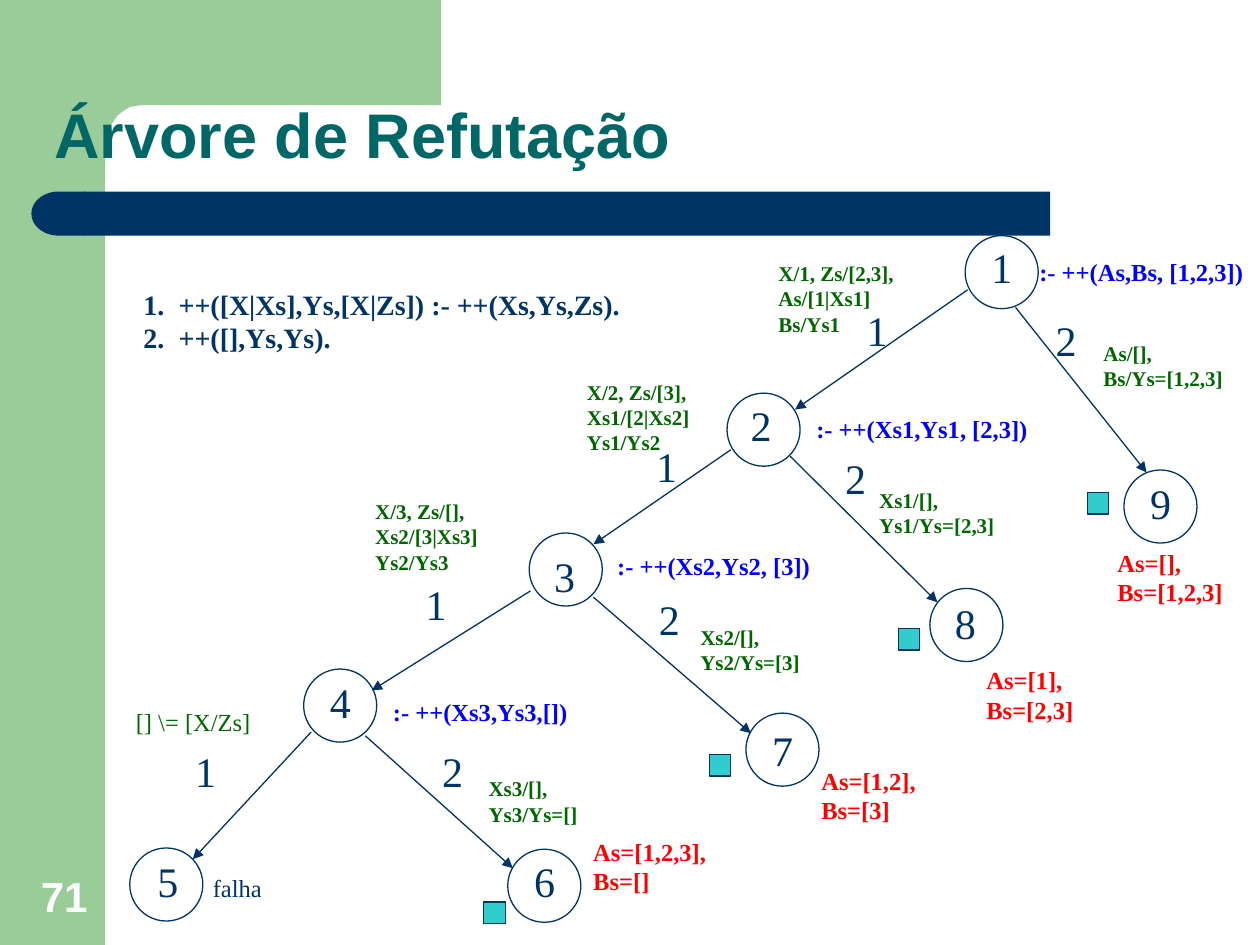
from pptx import Presentation
from pptx.dml.color import RGBColor
from pptx.enum.shapes import MSO_CONNECTOR as CONN, MSO_SHAPE as SHAPE
from pptx.enum.text import MSO_ANCHOR as ANCHOR, MSO_AUTO_SIZE as AUTO, PP_ALIGN as ALIGN
from pptx.oxml.ns import qn
from pptx.util import Inches, Pt
from lxml.etree import SubElement

NAVY, SAGE, AQUA, WHITE = "003366", "99CC99", "33CCCC", "FFFFFF"
BLUE, GREEN, RED, TEAL = "0000FF", "006600", "FF0000", "006666"
SERIF, SANS = "Times New Roman", "Arial"
U = Inches(0.1)  # one cell of the 100 x 75 grid
NODE = 5.8       # node diameter in cells
SLACK = 0.3      # spare width that keeps each label line whole
rgb = RGBColor.from_string

prs = Presentation()
prs.slide_width, prs.slide_height = 100 * U, 75 * U
s = prs.slides.add_slide(prs.slide_layouts[5])


def paint(sp, fill=None, line=None):
    sp.shadow.inherit = False
    if fill:
        sp.fill.solid()
        sp.fill.fore_color.rgb = rgb(fill)
    else:
        sp.fill.background()
    if line:
        sp.line.color.rgb = rgb(line)
        sp.line.width = Pt(0.75)
    else:
        sp.line.fill.background()


def write(text, x, y, w, h=None, sp=None, size=14, color=NAVY, bold=False, font=SERIF,
          anchor=ANCHOR.TOP, align=ALIGN.LEFT, spacing=1.0, tab=None):
    lines = text.split("\n")
    h = h or 1 + len(lines) * size / 6  # insets plus 1.2 lines of text
    sp = sp or s.shapes.add_textbox(0, 0, U, U)
    sp.left, sp.top, sp.width, sp.height = (int(v * U) for v in (x, y, w + SLACK, h))
    tf = sp.text_frame
    tf.word_wrap, tf.auto_size, tf.vertical_anchor = True, AUTO.NONE, anchor
    for i, line in enumerate(lines):
        p = tf.add_paragraph() if i else tf.paragraphs[0]
        p.alignment, p.line_spacing = align, spacing
        if tab:
            tabs = SubElement(p._p.get_or_add_pPr(), qn("a:tabLst"))
            SubElement(tabs, qn("a:tab"), pos=str(int(tab * U)), algn="l")
        r = p.add_run()
        r.text = line
        r.font.name, r.font.size, r.font.bold = font, Pt(size), bold
        r.font.color.rgb = rgb(color)


# Side band, corner piece with its rounded inner edge, and title bar
corner = [(35, 0), (35, 8.35), (11.6, 8.35), (11.1, 8.35), (10.3, 8.5), (9.8, 8.8), (9.3, 9.2),
          (8.9, 9.8), (8.6, 10.4), (8.4, 11), (8.33, 11.6), (8.33, 12.8), (5, 12.8), (5, 0)]
corner = [(int(x * U), int(y * U)) for x, y in corner]
band = s.shapes.add_shape(SHAPE.RECTANGLE, 0, 0, int(8.33 * U), 75 * U)
paint(band, SAGE)
outline = s.shapes.build_freeform(*corner[0])
outline.add_line_segments(corner[1:], close=True)
paint(outline.convert_to_shape(), SAGE)
for kind, x, w in [(SHAPE.RECTANGLE, 6.7, 76.65), (SHAPE.FLOWCHART_DELAY, 2.5, 4.3)]:
    bar = s.shapes.add_shape(kind, *(int(v * U) for v in (x, 15.2, w, 3.5)))
    paint(bar, NAVY)
    if kind == SHAPE.FLOWCHART_DELAY:
        bar._element.spPr.find(qn("a:xfrm")).set("flipH", "1")

# Slide number and program clauses
write("71", 0.8, 68.3, 8.3, 5.3, size=24, color=WHITE, bold=True, font=SANS,
      anchor=ANCHOR.BOTTOM, align=ALIGN.CENTER, spacing=0.9)
write("1.\t++([X|Xs],Ys,[X|Zs]) :- ++(Xs,Ys,Zs).\n2.\t++([],Ys,Ys).",
      10.4, 22.3, 40.3, size=16, bold=True, tab=2.8)

# Tree nodes: circle corner, then corner of the number's box
nodes = [(76.6, 18.7, 77.7, 18.7), (57.7, 31.2, 58.6, 31.2), (42, 42.3, 43, 43.2),
         (24.1, 53.1, 25.2, 53.2), (10.3, 67.3, 11.5, 67.4), (40.3, 67.4, 41.4, 67.4),
         (59.2, 56.6, 60.3, 57), (73.8, 46.7, 74.8, 46.9), (89.2, 37.3, 90.3, 37.4)]
for number, (x, y, tx, ty) in enumerate(nodes, 1):
    circle = s.shapes.add_shape(SHAPE.OVAL, *(int(v * U) for v in (x, y, NODE, NODE)))
    paint(circle, line=NAVY)
    write(str(number), tx, ty, 3.6, size=24)

# Branches: clause number, start, end, corner of the clause label
branches = [
    (1, 76.8, 23, 63.1, 32.5, 67.8, 23.7), (1, 58, 35.7, 47.1, 43.2, 51.1, 34.5),
    (1, 42.1, 46.9, 29.5, 54.8, 32.8, 45.4), (1, 24.7, 58.1, 15.3, 68.2, 14.5, 58.7),
    (2, 29, 58.4, 40.7, 68.9, 34.1, 58.7), (2, 47.1, 47.4, 59.6, 58.2, 51.3, 46.6),
    (2, 62.7, 36.2, 74.4, 47.8, 66.1, 35.4), (2, 80.6, 24.4, 91, 37.5, 82.8, 24.5)]
for clause, x1, y1, x2, y2, tx, ty in branches:
    arrow = s.shapes.add_connector(CONN.STRAIGHT, *(int(v * U) for v in (x1, y1, x2, y2)))
    arrow.line.color.rgb = rgb(NAVY)
    arrow.line.width = Pt(0.75)
    SubElement(arrow.line._get_or_add_ln(), qn("a:tailEnd"), type="triangle")
    SubElement(arrow._element.spPr, qn("a:effectLst"))
    write(str(clause), tx, ty, 3.6, size=24)

# Goals, substitutions and answers
goals = [(":- ++(As,Bs, [1,2,3])", 81.5, 19.9, 18.2), (":- ++(Xs1,Ys1, [2,3])", 63.8, 32.4, 18.8),
         (":- ++(Xs2,Ys2, [3])", 48, 43.2, 17.3), (":- ++(Xs3,Ys3,[])", 30.2, 54.8, 15.8)]
substitutions = [
    ("X/1, Zs/[2,3],\nAs/[1|Xs1]\nBs/Ys1", 60.8, 20.2, 12),
    ("X/2, Zs/[3],\nXs1/[2|Xs2]\nYs1/Ys2", 45.6, 29.6, 10.7),
    ("X/3, Zs/[],\nXs2/[3|Xs3]\nYs2/Ys3", 28.8, 39.1, 10.1),
    ("Xs3/[],\nYs3/Ys=[]", 37.8, 61.1, 9), ("Xs2/[],\nYs2/Ys=[3]", 54.6, 49.1, 9.9),
    ("Xs1/[],\nYs1/Ys=[2,3]", 68.8, 38.2, 11.1), ("As/[],\nBs/Ys=[1,2,3]", 86.6, 26.5, 11.4)]
answers = [("As=[1,2,3],\nBs=[]", 46.1, 65.9, 10.9), ("As=[1,2],\nBs=[3]", 64.2, 60.3, 9.5),
           ("As=[1],\nBs=[2,3]", 77.3, 52.3, 8.9), ("As=[],\nBs=[1,2,3]", 87.7, 43, 10.3)]
for labels, color, size in [(goals, BLUE, 14), (substitutions, GREEN, 12), (answers, RED, 14)]:
    for label in labels:
        write(*label, size=size, color=color, bold=True)

# Failing branch
write("falha", 15.9, 68.8, 5.9)
write("[] \\= [X/Zs]", 9.8, 55.6, 11.1, color=GREEN)

# Empty-clause squares beside the successful leaves
for x, y in [(38.4, 71.6), (56.3, 59.9), (71.3, 49.9), (86.3, 39.1)]:
    square = s.shapes.add_shape(SHAPE.RECTANGLE, *(int(v * U) for v in (x, y, 1.7, 1.7)))
    paint(square, AQUA, NAVY)

# Title, in front of the side band
title = s.shapes.title
write("Árvore de Refutação", 3.3, 3.3, 93.4, 10.9, sp=title, size=36, color=TEAL, bold=True,
      font=SANS, anchor=ANCHOR.BOTTOM, spacing=0.9)
s.shapes._spTree.append(title._element)

prs.save("out.pptx")
